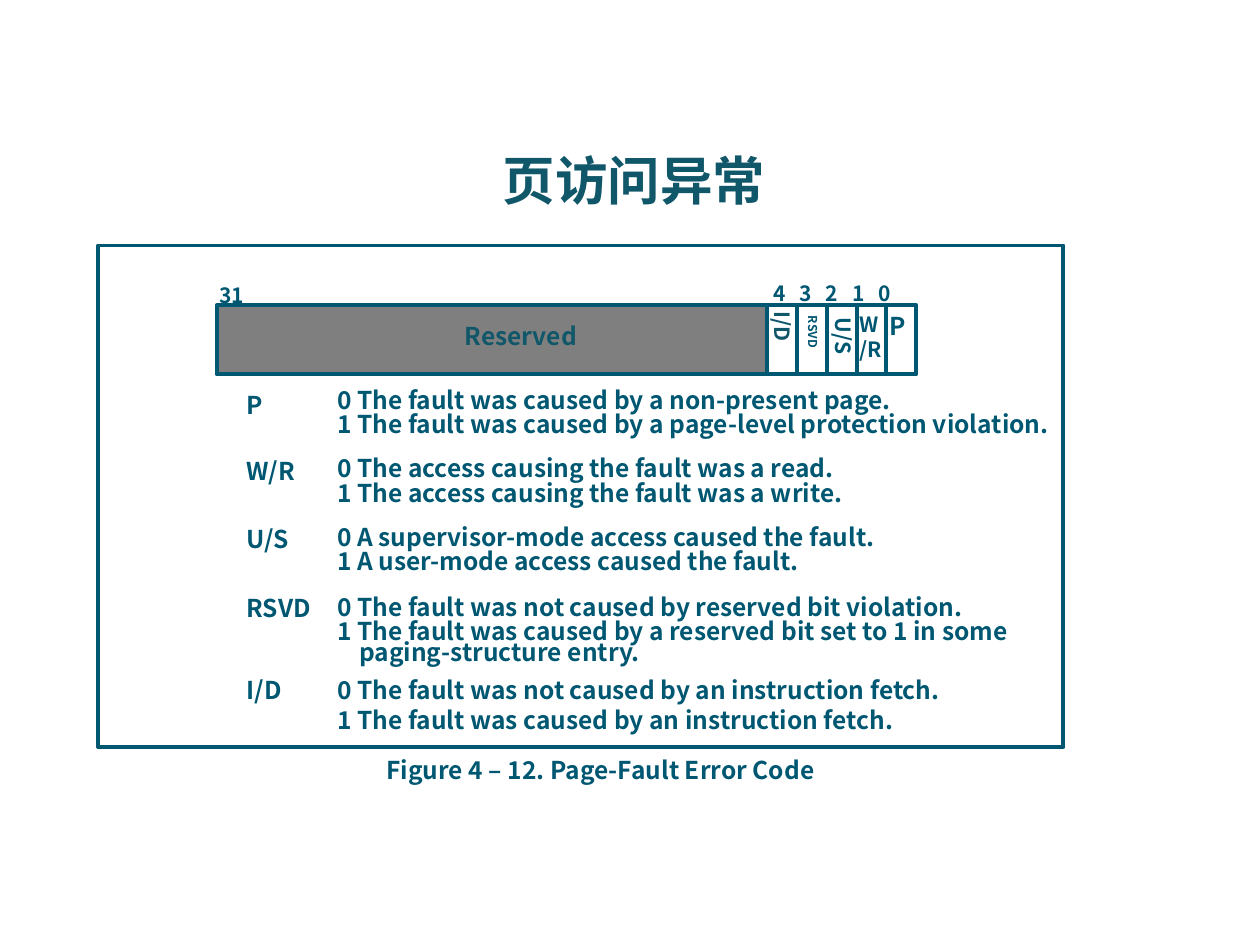
from lxml.etree import SubElement as Sub
from pptx import Presentation
from pptx.dml.color import RGBColor as Rgb
from pptx.enum.shapes import MSO_SHAPE as Form
from pptx.enum.text import MSO_ANCHOR as Anchor, MSO_AUTO_SIZE as Auto, PP_ALIGN as Align
from pptx.oxml.ns import qn
from pptx.util import Cm, Pt

FONT = "Noto Sans CJK SC"
INK, DARK, GRAY = "005772", "11576A", "7F7F7F"

BITS = [
    ("I/D", 10.82, 0.1, 1.19, 0.76, 12, DARK, 90, False),
    ("RSVD", 11.4, 0.3, 1.22, 0.56, 7, INK, 90, False),
    ("U/S", 11.99, 0.28, 1.3, 0.76, 12, INK, 90, False),
    ("W/R", 12.7, 0, 1.02, 1.27, 12, INK, 0, True),
    ("P", 13.31, 0, 0.84, 0.86, 14, INK, 0, False),
]

FLAGS = [
    ("P", 0.84, 2.79, [
        (2.69, "0 The fault was caused by a non-present page."),
        (3.18, "1 The fault was caused by a page-level protection violation.")]),
    ("W/R", 1.63, 4.11, [
        (4.06, "0 The access causing the fault was a read."),
        (4.57, "1 The access causing the fault was a write.")]),
    ("U/S", 1.42, 5.49, [
        (5.44, "0 A supervisor-mode access caused the fault."),
        (5.94, "1 A user-mode access caused the fault.")]),
    ("RSVD", 1.91, 6.88, [
        (6.86, "0 The fault was not caused by reserved bit violation."),
        (7.52, "1 The fault was caused by a reserved bit set to 1 in some\n"
               "paging-structure entry.")]),
    ("I/D", 1.32, 8.53, [
        (8.53, "0 The fault was not caused by an instruction fetch."),
        (9.14, "1 The fault was caused by an instruction fetch.")]),
]


def hue(code):
    return Rgb.from_string(code)


def add_text(slide, text, x, y, w, h, size=14, color=INK, wrap=True, turn=0):
    box = slide.shapes.add_textbox(Cm(x), Cm(y), Cm(w), Cm(h))
    box.rotation = turn
    frame = box.text_frame
    frame.text = text
    frame.word_wrap = wrap
    frame.auto_size = Auto.SHAPE_TO_FIT_TEXT
    for para in frame.paragraphs:
        for run in para.runs:
            font = run.font
            font.size, font.bold, font.name = Pt(size), True, FONT
            font.color.rgb = hue(color)
            Sub(font._element, qn("a:ea")).set("typeface", FONT)
    return frame


def add_rect(slide, x, y, w, h, fill=None):
    rect = slide.shapes.add_shape(Form.RECTANGLE, Cm(x), Cm(y), Cm(w), Cm(h))
    rect.shadow.inherit = False
    rect.line.color.rgb = hue(INK)
    rect.line.width = Pt(2.25)
    if fill:
        rect.fill.solid()
        rect.fill.fore_color.rgb = hue(fill)
    else:
        rect.fill.background()


def add_title(slide, x, y, w, h):
    frame = add_text(slide, "页访问异常", x, y, w, h, 30, DARK)
    frame.auto_size = Auto.NONE
    frame.vertical_anchor = Anchor.BOTTOM
    frame.paragraphs[0].alignment = Align.CENTER


def set_tabs(para, step, count):
    tabs = Sub(para._p.get_or_add_pPr(), qn("a:tabLst"))
    for i in range(1, count + 1):
        tab = Sub(tabs, qn("a:tab"))
        tab.set("pos", str(Cm(step * i)))
        tab.set("algn", "l")


def add_word(slide, x, y, w, h):
    pitch = 0.6
    first = w - pitch * len(BITS)
    add_rect(slide, x, y, first, h, GRAY)
    for i in range(len(BITS)):
        add_rect(slide, x + first + i * pitch, y, pitch, h)
    add_text(slide, "Reserved", x + 4.75, y + 0.2, 2.79, 0.86, color=DARK, wrap=False)
    for name, dx, dy, wide, high, size, color, turn, wrap in BITS:
        add_text(slide, name, x + dx, y + dy, wide, high, size, color, wrap, turn)
    add_text(slide, "31", x - 0.2, y - 0.58, 1.04, 0.76, 12, wrap=False)
    marks = add_text(slide, "4\t3\t2\t1\t0", x + 10.97, y - 0.61, 3.58, 0.76, 12)
    set_tabs(marks.paragraphs[0], 0.53, 4)


def add_flags(slide, x, y, w):
    for name, wide, top, lines in FLAGS:
        add_text(slide, name, x, y + top, wide, 0.86, wrap=False)
        for dy, line in lines:
            frame = add_text(slide, line, x + 1.83, y + dy, w - 1.83, 0.86)
            if len(frame.paragraphs) > 1:
                for para in frame.paragraphs:
                    para.line_spacing = Pt(12)
                frame.paragraphs[1]._p.get_or_add_pPr().set("marL", str(Cm(0.44)))


def add_figure(slide, x, y, w, h):
    add_rect(slide, x, y, w, h)
    add_word(slide, x + 2.39, y + 1.2, 14.1, 1.4)
    add_flags(slide, x + 2.74, y, 18)
    add_text(slide, "Figure 4 – 12. Page-Fault Error Code", x + 5.56, y + h + 0.03, 11.94, 0.86)


def main():
    deck = Presentation()
    deck.slide_width, deck.slide_height = Cm(25.4), Cm(19.05)
    slide = deck.slides.add_slide(deck.slide_layouts[6])
    add_title(slide, 1.73, 2.69, 22.1, 1.68)
    add_figure(slide, 1.98, 4.95, 19.46, 10.11)
    deck.save("out.pptx")


if __name__ == "__main__":
    main()
